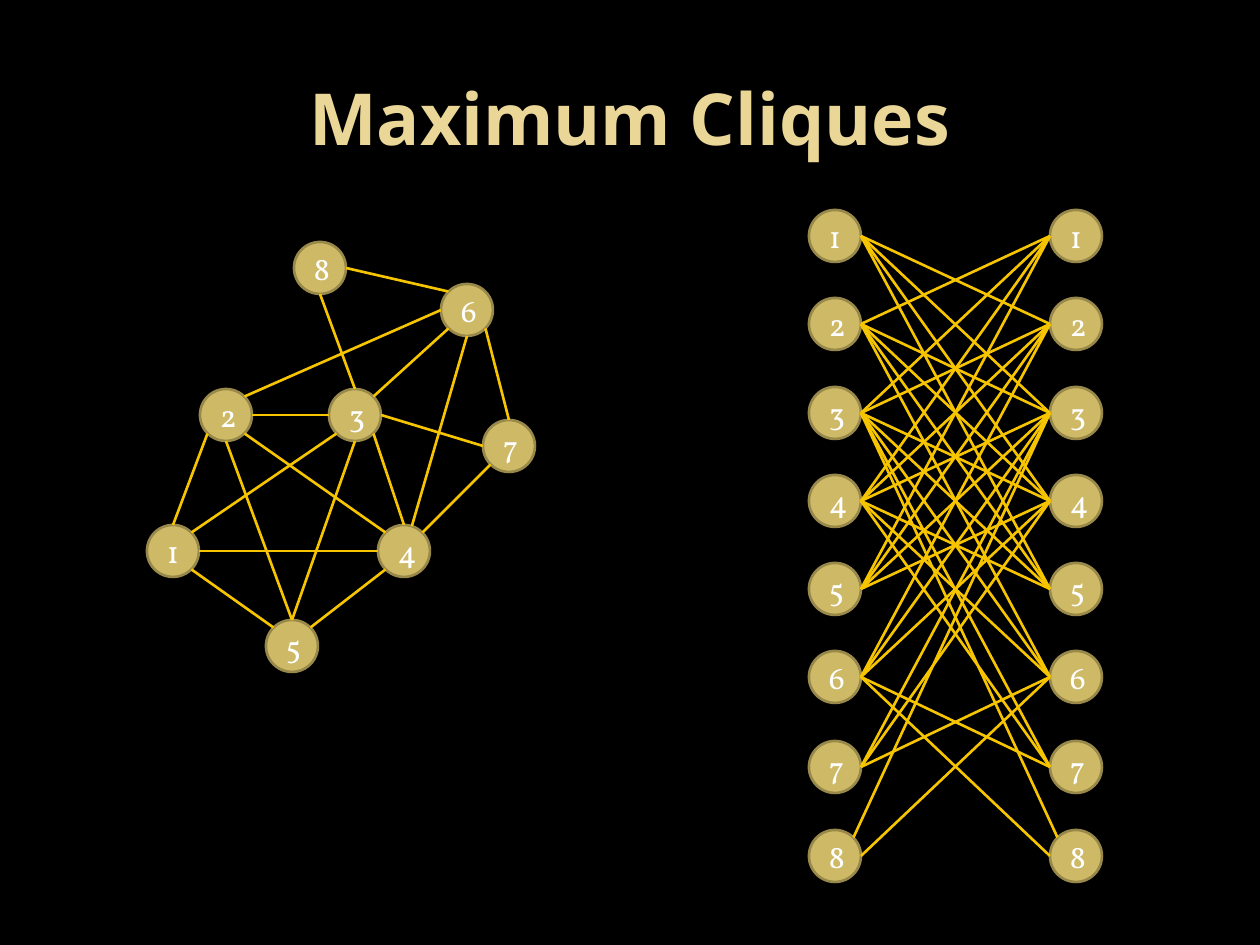
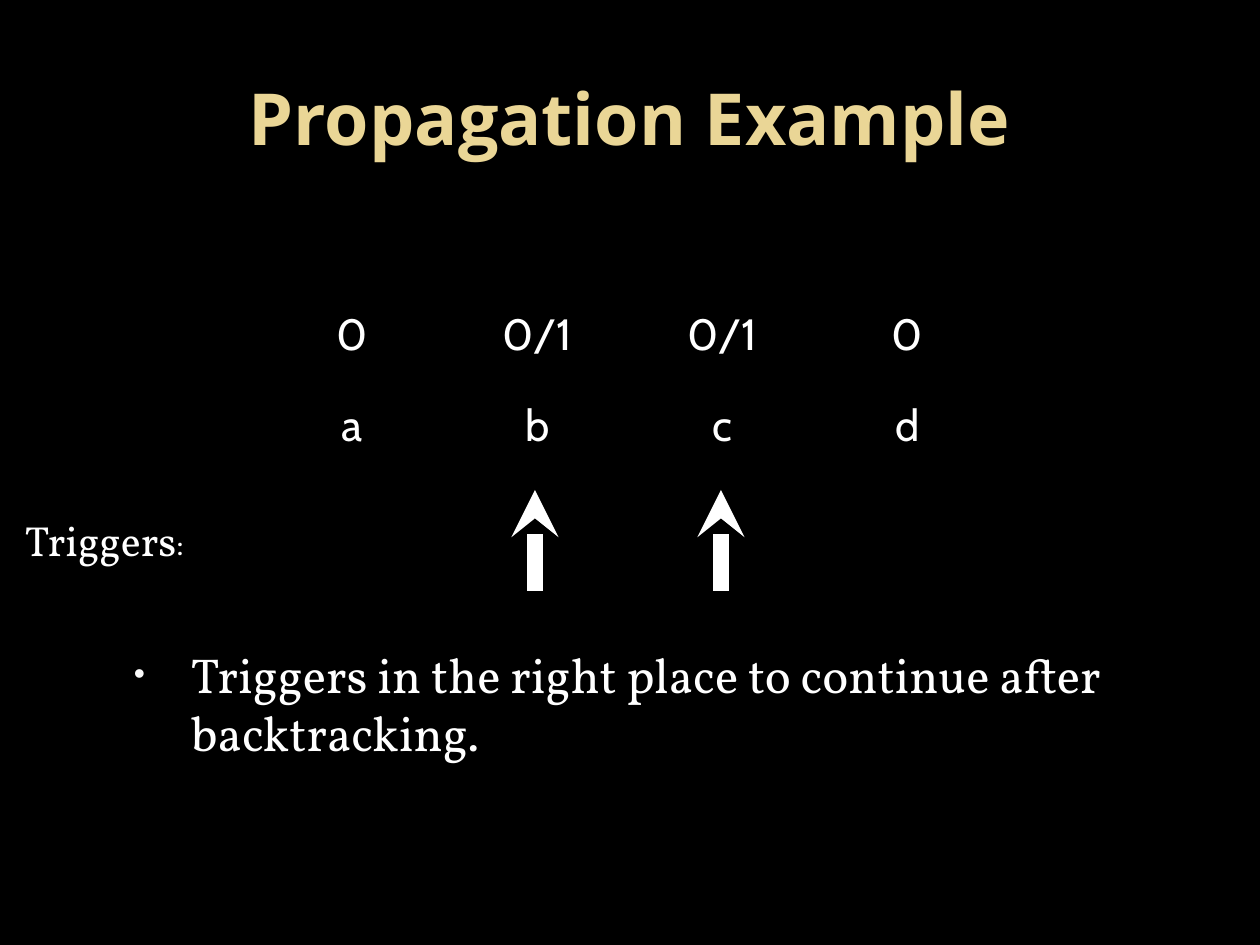
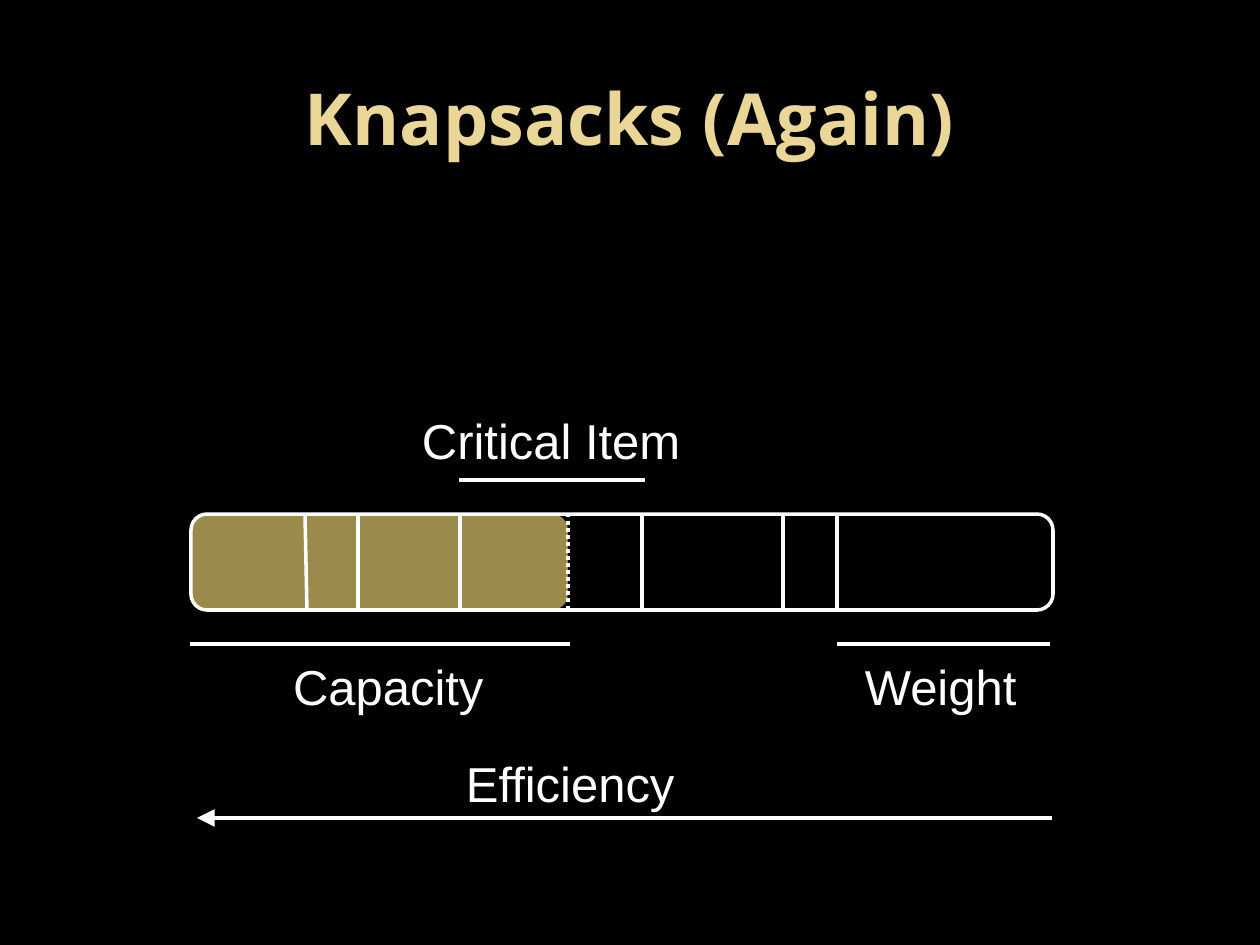
from lxml.etree import SubElement
from pptx import Presentation
from pptx.dml.color import RGBColor
from pptx.enum.dml import MSO_LINE
from pptx.enum.shapes import MSO_CONNECTOR, MSO_SHAPE
from pptx.enum.text import MSO_ANCHOR, MSO_AUTO_SIZE, PP_ALIGN
from pptx.oxml.ns import qn
from pptx.util import Pt

ELLIPSE = MSO_SHAPE.OVAL
ROUNDED = MSO_SHAPE.FLOWCHART_ALTERNATE_PROCESS
STRAIGHT = MSO_CONNECTOR.STRAIGHT
CENTER = PP_ALIGN.CENTER
LEFT = PP_ALIGN.LEFT
MIDDLE = MSO_ANCHOR.MIDDLE
TOP = MSO_ANCHOR.TOP
GROW = MSO_AUTO_SIZE.SHAPE_TO_FIT_TEXT
DOTTED = MSO_LINE.ROUND_DOT

BLACK, WHITE, GOLD, BRONZE = "000000", "FFFFFF", "CEB966", "98894B"
EDGE_COLOR, TITLE_COLOR, BULLET_COLOR = "F7C500", "EAD696", "F9F9F9"
TITLE_FONT, BODY_FONT, TABLE_FONT, LABEL_FONT = "Open Sans", "Vollkorn", "Cabin", "Arial"

RADIUS = 26
SITES = {"N": (0, -1), "NNE": (0.3, -0.95), "NE": (0.71, -0.71), "E": (1, 0),
         "SE": (0.71, 0.71), "S": (0, 1), "SW": (-0.71, 0.71), "W": (-1, 0),
         "NW": (-0.71, -0.71)}
NODES = {1: (173, 551), 2: (226, 415), 3: (355, 415), 4: (404, 551),
         5: (292, 646), 6: (467, 310), 7: (509, 446), 8: (320, 268)}
EDGES = [(2, "SW", 1, "N"), (1, "SE", 5, "NW"), (5, "NE", 4, "SW"),
         (4, "N", 3, "SE"), (2, "E", 3, "W"), (2, "S", 5, "N"),
         (3, "S", 5, "N"), (2, "SE", 4, "NW"), (4, "W", 1, "E"),
         (1, "NE", 3, "SW"), (3, "NE", 6, "SW"), (3, "E", 7, "W"),
         (6, "SE", 7, "N"), (7, "SW", 4, "NE"), (6, "S", 4, "NNE"),
         (2, "NE", 6, "W"), (8, "S", 3, "N"), (8, "E", 6, "NW")]
MATCHING_ROWS = (236, 324, 413, 501, 589, 677, 767, 856)


def px(length):
    return round(length * 914400 / 126)


def color(value):
    return RGBColor.from_string(value)


def assign(target, **values):
    for name, value in values.items():
        setattr(target, name, value)


def add_page(deck, title):
    page = deck.slides.add_slide(deck.slide_layouts[6])
    page.background.fill.solid()
    page.background.fill.fore_color.rgb = color(BLACK)
    add_text(page, (63, 38, 1134, 158), [(title, 41)], TITLE_FONT, TITLE_COLOR,
             bold=True, align=CENTER, anchor=MIDDLE)
    return page


def write(para, spans, font, ink=WHITE, bold=False, align=LEFT):
    para.alignment = align
    for text, size in spans:
        span = para.add_run()
        span.text = text
        assign(span.font, name=font, size=Pt(size), bold=bold)
        span.font.color.rgb = color(ink)


def add_text(page, frame, spans, font, ink=WHITE, bold=False, align=LEFT,
             anchor=TOP, inset=(9, 5), **options):
    box = page.shapes.add_textbox(*map(px, frame))
    side, edge = map(px, inset)
    values = {"word_wrap": True, "vertical_anchor": anchor, "margin_left": side,
              "margin_right": side, "margin_top": edge, "margin_bottom": edge}
    assign(box.text_frame, **{**values, **options})
    para = box.text_frame.paragraphs[0]
    write(para, spans, font, ink, bold, align)
    return para


def add_bullet(para):
    props = para._p.get_or_add_pPr()
    props.set("marL", str(px(86)))
    props.set("indent", str(px(-57)))
    SubElement(SubElement(props, qn("a:buClr")), qn("a:srgbClr"), val=BULLET_COLOR)
    SubElement(props, qn("a:buSzPct"), val="65000")
    SubElement(props, qn("a:buFont"), typeface=LABEL_FONT)
    SubElement(props, qn("a:buChar"), char="•")


def add_shape(page, kind, frame, fill=None, line=None, width=2, alpha=None):
    shape = page.shapes.add_shape(kind, *map(px, frame))
    shape.shadow.inherit = False
    for part, ink in ((shape.fill, fill), (shape.line.fill, line)):
        if ink:
            part.solid()
            part.fore_color.rgb = color(ink)
        else:
            part.background()
    if line:
        shape.line.width = Pt(width)
    if alpha:
        fill_color = shape._element.spPr.find(".//" + qn("a:srgbClr"))
        SubElement(fill_color, qn("a:alpha"), val=str(alpha * 1000))
    return shape


def add_line(page, start, end, ink=WHITE, width=2, dash=None, head=None, tail=None):
    line = page.shapes.add_connector(STRAIGHT, *map(px, (*start, *end)))
    line.line.color.rgb = color(ink)
    line.line.width = Pt(width)
    if dash:
        line.line.dash_style = dash
    for tag, arrow in (("a:headEnd", head), ("a:tailEnd", tail)):
        if arrow:
            SubElement(line.line._get_or_add_ln(), qn(tag), arrow)
    SubElement(line._element.spPr, qn("a:effectLst"))


def add_node(page, number, center):
    x, y = center
    node = add_shape(page, ELLIPSE, (x - RADIUS, y - RADIUS, 2 * RADIUS, 2 * RADIUS),
                     GOLD, BRONZE, 1.5)
    write(node.text_frame.paragraphs[0], [(str(number), 18)], BODY_FONT, align=CENTER)


def add_edge(page, start, start_site, end, end_site):
    points = [[middle + RADIUS * step for middle, step in zip(center, SITES[site])]
              for center, site in ((start, start_site), (end, end_site))]
    add_line(page, *points, EDGE_COLOR, 1.5)


def add_graph(page):
    for number, center in NODES.items():
        add_node(page, number, center)
    for start, start_site, end, end_site in EDGES:
        add_edge(page, NODES[start], start_site, NODES[end], end_site)


def add_matching(page):
    left, right = ({number: (x, y) for number, y in enumerate(MATCHING_ROWS, 1)}
                   for x in (835, 1076))
    for column in (left, right):
        for number, center in column.items():
            add_node(page, number, center)
    for first, _, second, _ in EDGES:
        for start, end in ((first, second), (second, first)):
            start_site = "NE" if (start, end) == (8, 3) else "E"
            end_site = "NW" if (start, end) == (3, 8) else "W"
            add_edge(page, left[start], start_site, right[end], end_site)


def add_border(cell):
    props = cell._tc.get_or_add_tcPr()
    for index, side in enumerate(("lnL", "lnR", "lnT", "lnB")):
        border = props.makeelement(qn("a:" + side), {"w": str(Pt(2))})
        fill = SubElement(border, qn("a:solidFill"))
        SubElement(fill, qn("a:srgbClr"), val=BLACK)
        props.insert(index, border)


def add_values(page, frame, rows):
    table = page.shapes.add_table(len(rows), len(rows[0]), *map(px, frame)).table
    assign(table, first_row=False, horz_banding=False)
    for row, texts in enumerate(rows):
        for column, text in enumerate(texts):
            cell = table.cell(row, column)
            cell.fill.background()
            add_border(cell)
            assign(cell, vertical_anchor=MIDDLE, margin_left=px(5), margin_right=px(5),
                   margin_top=px(5), margin_bottom=px(5))
            write(cell.text_frame.paragraphs[0], [(text, 25)], TABLE_FONT, align=CENTER)


def add_label(page, text, frame):
    add_text(page, frame, [(text, 28)], LABEL_FONT, inset=(12, 6),
             word_wrap=False, auto_size=GROW)


def build_cliques(deck):
    page = add_page(deck, "Maximum Cliques")
    add_graph(page)
    add_matching(page)


def build_propagation(deck):
    page = add_page(deck, "Propagation Example")
    para = add_text(page, (96, 639, 1067, 210),
                    [("Triggers in the right place to continue after backtracking.", 28)],
                    BODY_FONT)
    add_bullet(para)
    add_values(page, (260, 290, 740, 181), [("0", "0/1", "0/1", "0"), "abcd"])
    for x in (721, 535):
        add_line(page, (x, 490), (x, 591), width=9, head={"type": "stealth"})
    add_text(page, (25, 504, 249, 71), [("Triggers", 24), (":", 18)], BODY_FONT,
             anchor=MIDDLE, inset=(0, 0))


def build_knapsacks(deck):
    page = add_page(deck, "Knapsacks (Again)")
    top, bottom = 514, 610
    add_shape(page, ROUNDED, (190, top, 378, bottom - top), GOLD, alpha=75)
    add_line(page, (568, top), (568, bottom), dash=DOTTED)
    add_shape(page, ROUNDED, (191, top, 862, bottom - top), line=WHITE)
    for upper, lower in ((305, 307), (358, 358), (460, 460),
                         (642, 642), (783, 783), (837, 837)):
        add_line(page, (lower, bottom), (upper, top))
    for start, end, y in ((190, 570, 644), (837, 1050, 644), (459, 645, 480)):
        add_line(page, (start, y), (end, y))
    add_line(page, (1052, 818), (197, 818),
             tail={"type": "triangle", "w": "lg", "len": "lg"})
    for text, frame in (("Capacity", (281, 651, 221, 72)),
                        ("Efficiency", (454, 747, 240, 72)),
                        ("Weight", (853, 650, 184, 72)),
                        ("Critical Item", (410, 404, 290, 72))):
        add_label(page, text, frame)


def main():
    deck = Presentation()
    assign(deck, slide_width=px(1260), slide_height=px(945))
    build_cliques(deck)
    build_propagation(deck)
    build_knapsacks(deck)
    deck.save("out.pptx")


if __name__ == "__main__":
    main()
